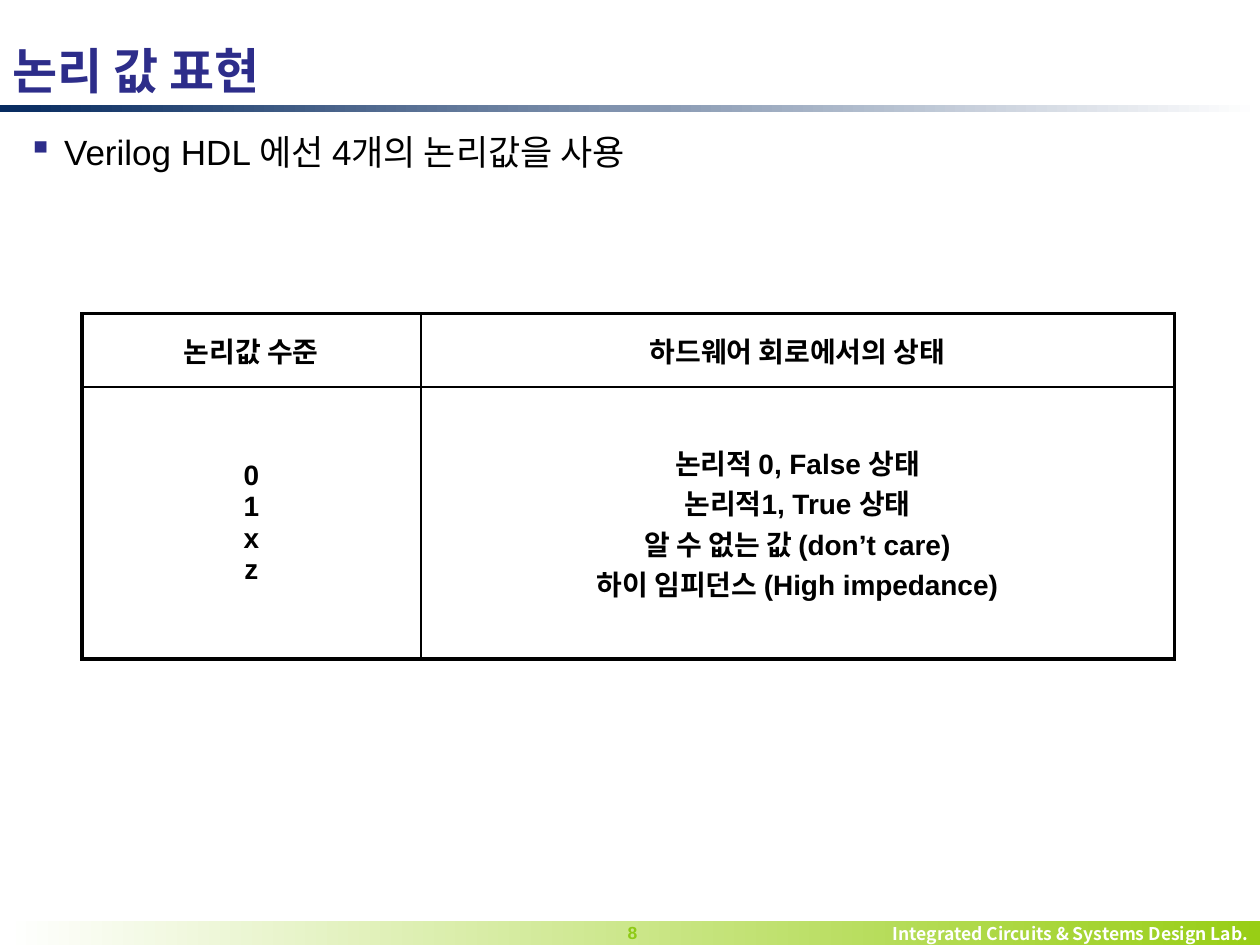
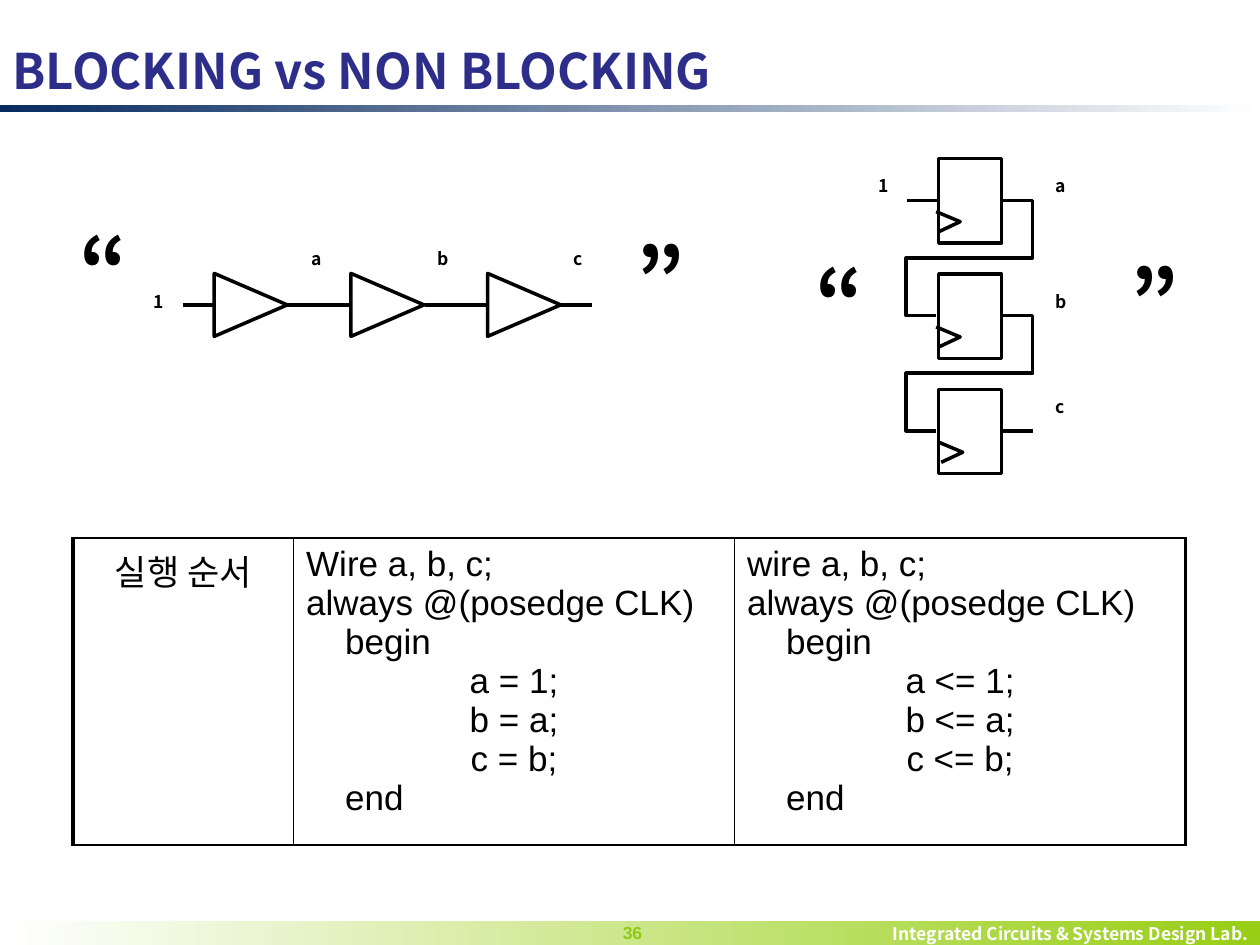
from dataclasses import dataclass

from lxml import etree
from pptx import Presentation
from pptx.dml.color import RGBColor
from pptx.enum.shapes import MSO_CONNECTOR, MSO_SHAPE
from pptx.enum.text import MSO_ANCHOR, PP_ALIGN
from pptx.oxml.ns import qn
from pptx.util import Inches, Pt


@dataclass(frozen=True)
class Theme:
    latin: str = "Arial"
    korean: str = "Noto Sans CJK KR"
    ink: str = "000000"
    title: str = "2D2D8A"
    navy: str = "072B60"
    green: str = "98CE15"
    number: str = "8ECA15"
    white: str = "FFFFFF"
    title_size: int = 28
    body_size: int = 20
    table_size: int = 16
    small_size: int = 10
    quote_size: int = 48
    wire: float = 2
    thin: float = 1
    thick: float = 2.25


@dataclass(frozen=True)
class Box:
    left: float
    top: float
    width: float
    height: float

    def within(self, left, top, width, height):
        """A box given by its offset from this one."""
        return Box(self.left + left, self.top + top, width, height)

    def point(self, x, y):
        return Inches(self.left + x), Inches(self.top + y)

    @property
    def emu(self):
        return [Inches(v) for v in (self.left, self.top, self.width, self.height)]


THEME = Theme()
LEFT, CENTER, RIGHT = PP_ALIGN.LEFT, PP_ALIGN.CENTER, PP_ALIGN.RIGHT
LAB = "Integrated Circuits & Systems Design Lab."


# Text and drawing helpers

def write(paragraph, text, size=THEME.small_size, font=THEME.korean,
          color=THEME.ink, bold=False, align=LEFT):
    """Put one formatted run into a paragraph."""
    paragraph.alignment = align
    run = paragraph.add_run()
    run.text = text
    run.font.size = Pt(size)
    run.font.bold = bold
    run.font.color.rgb = RGBColor.from_string(color)
    run.font.name = font
    east_asian = etree.SubElement(run._r.get_or_add_rPr(), qn("a:ea"))
    east_asian.set("typeface", THEME.korean)


def add_text(slide, box, text, anchor=MSO_ANCHOR.TOP, **style):
    frame = slide.shapes.add_textbox(*box.emu).text_frame
    frame.word_wrap = True
    frame.vertical_anchor = anchor
    write(frame.paragraphs[0], text, **style)
    return frame.paragraphs[0]


def outline(shape):
    shape.shadow.inherit = False
    shape.fill.background()
    shape.line.color.rgb = RGBColor.from_string(THEME.ink)
    shape.line.width = Pt(THEME.wire)


def add_outline(slide, kind, box, rotation=0):
    shape = slide.shapes.add_shape(kind, *box.emu)
    shape.rotation = rotation
    outline(shape)


def add_wire(slide, start, end, kind=MSO_CONNECTOR.STRAIGHT):
    wire = slide.shapes.add_connector(kind, *start, *end)
    wire.line.color.rgb = RGBColor.from_string(THEME.ink)
    wire.line.width = Pt(THEME.wire)
    etree.SubElement(wire._element.spPr, qn("a:effectLst"))
    return wire


def add_feedback(slide, start, end):
    """Five-part elbow that loops out on both sides of its ends."""
    wire = add_wire(slide, start, end, MSO_CONNECTOR.ELBOW)
    geometry = wire._element.spPr.find(qn("a:prstGeom"))
    geometry.set("prst", "bentConnector5")
    guides = geometry.find(qn("a:avLst"))
    if guides is None:
        guides = etree.SubElement(geometry, qn("a:avLst"))
    for number, value in enumerate((-44700, 50000, 144700), start=1):
        guide = etree.SubElement(guides, qn("a:gd"))
        guide.set("name", f"adj{number}")
        guide.set("fmla", f"val {value}")


def add_band(slide, box, start, end):
    band = slide.shapes.add_shape(MSO_SHAPE.RECTANGLE, *box.emu)
    band.shadow.inherit = False
    band.line.fill.background()
    band.fill.gradient()
    band.fill.gradient_angle = 0
    for stop, color, position in zip(band.fill.gradient_stops, (start, end), (0, 1)):
        stop.color.rgb = RGBColor.from_string(color)
        stop.position = position
    return band


# Tables

def set_borders(cell, **widths):
    properties = cell._tc.get_or_add_tcPr()
    for side in "LRTB":
        line = etree.SubElement(properties, qn(f"a:ln{side}"))
        line.set("w", str(Pt(widths[side])))
        fill = etree.SubElement(line, qn("a:solidFill"))
        etree.SubElement(fill, qn("a:srgbClr")).set("val", THEME.ink)
    cell.fill.background()


def add_grid(slide, box, columns, rows, cells, cap, anchor, **style):
    """Cells hold lines of (text, align, indent); cap is the top and bottom rule."""
    table = slide.shapes.add_table(len(rows), len(columns), *box.emu).table
    table.first_row = table.horz_banding = False
    for column, width in zip(table.columns, columns):
        column.width = Inches(width)
    for row, height in zip(table.rows, rows):
        row.height = Inches(height)
    last_row, last_column = len(rows) - 1, len(columns) - 1
    for r, row_cells in enumerate(cells):
        for c, lines in enumerate(row_cells):
            cell = table.cell(r, c)
            set_borders(cell,
                        L=THEME.thick if c == 0 else THEME.thin,
                        R=THEME.thick if c == last_column else THEME.thin,
                        T=cap if r == 0 else THEME.thin,
                        B=cap if r == last_row else THEME.thin)
            cell.vertical_anchor = anchor
            for i, (text, align, indent) in enumerate(lines):
                frame = cell.text_frame
                paragraph = frame.add_paragraph() if i else frame.paragraphs[0]
                if indent:
                    paragraph._p.get_or_add_pPr().set("marL", str(Inches(indent)))
                write(paragraph, text, align=align, **style)


def centered(*texts):
    return [(text, CENTER, 0) for text in texts]


# Frame shared by the slides

def add_frame(presentation, title, number):
    slide = presentation.slides.add_slide(presentation.slide_layouts[6])
    add_band(slide, Box(0, 0.83, 10, 0.06), THEME.navy, THEME.white)
    footer = add_band(slide, Box(0.04, 7.31, 9.96, 0.19), THEME.white, THEME.green)
    footer.text_frame.vertical_anchor = MSO_ANCHOR.MIDDLE
    write(footer.text_frame.paragraphs[0], LAB, color=THEME.white, bold=True, align=RIGHT)
    add_text(slide, Box(4.63, 7.27, 0.78, 0.27), str(number), font=THEME.latin,
             color=THEME.number, bold=True, align=CENTER)
    add_text(slide, Box(0, 0.24, 10, 0.63), title, anchor=MSO_ANCHOR.MIDDLE,
             size=THEME.title_size, color=THEME.title, bold=True)
    return slide


# Slide on logic values

def add_bullet(slide, box, text):
    paragraph = add_text(slide, box, text, size=THEME.body_size, font=THEME.latin)
    paragraph.line_spacing = 1.14
    paragraph.space_before = Pt(4)
    properties = paragraph._p.get_or_add_pPr()
    properties.set("marL", str(Inches(0.29)))
    properties.set("indent", str(Inches(-0.29)))
    color = etree.SubElement(properties, qn("a:buClr"))
    etree.SubElement(color, qn("a:srgbClr")).set("val", THEME.title)
    etree.SubElement(properties, qn("a:buChar")).set("char", "▪")


def build_logic_values(presentation):
    slide = add_frame(presentation, "논리 값 표현", 8)
    add_bullet(slide, Box(0.12, 0.94, 9.75, 6.23),
               "Verilog HDL 에선 4개의 논리값을 사용")
    states = centered("논리적 0, False 상태", "논리적1, True 상태",
                      "알 수 없는 값 (don’t care)", "하이 임피던스 (High impedance)")
    add_grid(slide, Box(0.65, 2.49, 8.67, 2.74), (2.69, 5.98), (0.58, 2.16),
             [[centered("논리값 수준"), centered("하드웨어 회로에서의 상태")],
              [centered(*"01xz"), states]],
             cap=THEME.thick, anchor=MSO_ANCHOR.MIDDLE,
             size=THEME.table_size, font=THEME.latin, bold=True)


# Slide on assignments

def add_label(slide, box, text, x, y):
    add_text(slide, box.within(x, y, 0.42, 0.41), text, bold=True)


def add_quotes(slide, box, open_top, close_top):
    for mark, x, y in (("“", 0, open_top), ("”", box.width - 0.42, close_top)):
        add_text(slide, box.within(x, y, 0.42, 0.78), mark,
                 size=THEME.quote_size, bold=True)


def add_buffer_chain(slide, box):
    """Three buffers in a row, joined by wires."""
    pitch, axis = 1.085, 0.75
    for i in range(3):
        add_outline(slide, MSO_SHAPE.ISOSCELES_TRIANGLE,
                    box.within(1.21 + i * pitch, axis - 0.29, 0.5, 0.58), rotation=90)
    for start, end in ((0.92, 1.17), (1.75, 2.25), (2.84, 3.34), (3.92, 4.17)):
        add_wire(slide, box.point(start, axis), box.point(end, axis))
    for name, x, y in (("1", 0.59, 0.59), ("a", 1.84, 0.25),
                       ("b", 2.84, 0.25), ("c", 3.92, 0.25)):
        add_label(slide, box, name, x, y)
    add_quotes(slide, box, 0, 0.08)


def add_flip_flops(slide, box):
    """Three flip-flops in a column, each output fed to the next input."""
    pitch, left, right, port = 0.915, 1.08, 1.58, 0.33
    stages = (("a", 0.08, 1.06), ("b", 1.0, 1.06), ("c", 1.83, 1.08))
    for i, (name, label_top, clock_left) in enumerate(stages):
        top = i * pitch
        add_outline(slide, MSO_SHAPE.RECTANGLE, box.within(left, top, 0.5, 0.67))
        # Clock mark
        clock = slide.shapes.build_freeform(*box.point(clock_left, top + 0.42), scale=1.0)
        clock.add_line_segments([box.point(clock_left + 0.19, top + 0.5),
                                 box.point(clock_left + 0.02, top + 0.58)], close=False)
        outline(clock.convert_to_shape())
        add_label(slide, box, name, 1.91, label_top)
        if i < len(stages) - 1:
            add_feedback(slide, box.point(right + 0.01, top + port),
                         box.point(left - 0.02, top + pitch + port))
    add_wire(slide, box.point(left - 0.25, port), box.point(left, port))
    output = 2 * pitch + port
    add_wire(slide, box.point(right, output), box.point(right + 0.25, output))
    add_label(slide, box, "1", 0.5, 0.08)
    add_quotes(slide, box, 0.66, 0.66)


def always_block(declaration, operator):
    steps = [f"{target} {operator} {value};"
             for target, value in (("a", "1"), ("b", "a"), ("c", "b"))]
    return [(declaration, LEFT, 0), ("always @(posedge CLK)", LEFT, 0),
            ("begin", LEFT, 0.31), *centered(*steps), ("end", LEFT, 0.31)]


def build_blocking(presentation):
    slide = add_frame(presentation, "BLOCKING vs NON BLOCKING", 36)
    add_buffer_chain(slide, Box(0.53, 1.67, 4.84, 1.04))
    add_flip_flops(slide, Box(6.37, 1.26, 2.92, 2.5))
    add_grid(slide, Box(0.58, 4.27, 8.83, 2.43), (1.75, 3.5, 3.58), (2.43,),
             [[centered("실행 순서"), always_block("Wire a, b, c;", "="),
               always_block("wire a, b, c;", "<=")]],
             cap=THEME.thin, anchor=MSO_ANCHOR.TOP,
             size=THEME.body_size, font=THEME.latin)


def main():
    presentation = Presentation()
    presentation.slide_width, presentation.slide_height = Inches(10), Inches(7.5)
    build_logic_values(presentation)
    build_blocking(presentation)
    presentation.save("out.pptx")


if __name__ == "__main__":
    main()
